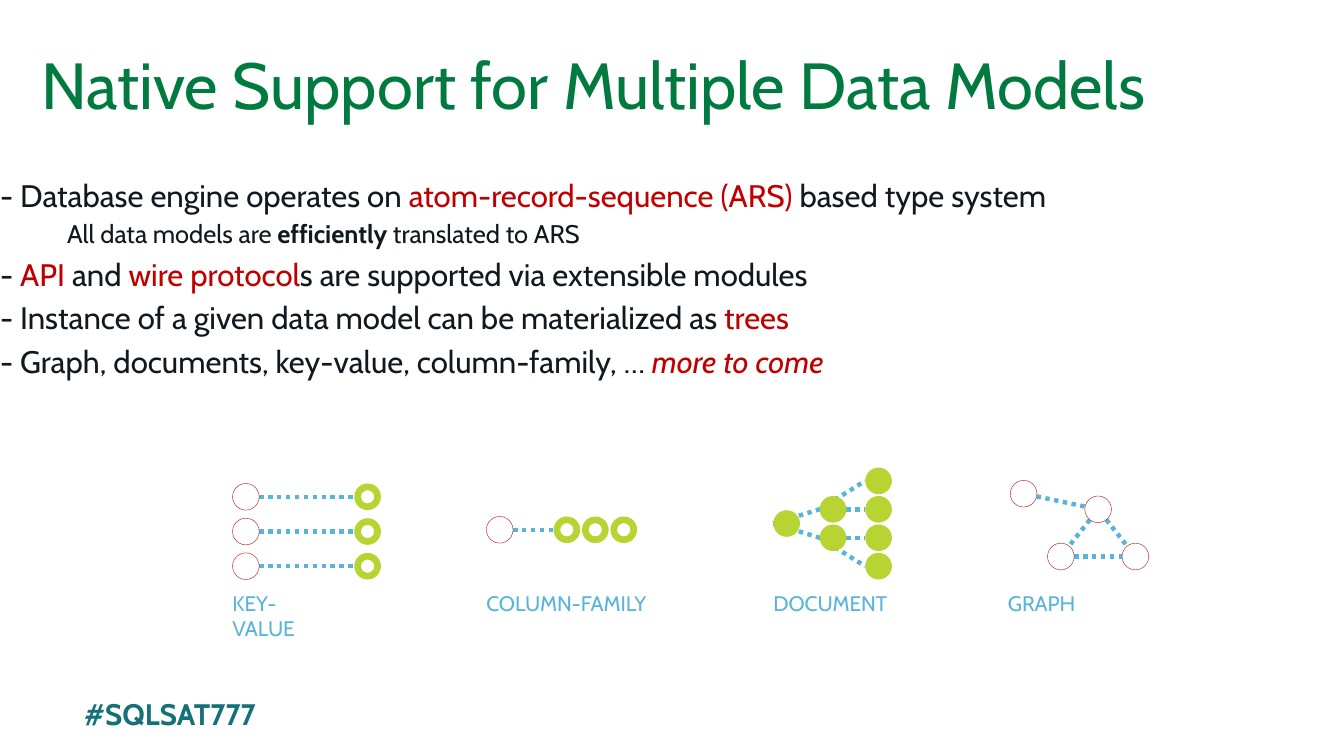
import math
from itertools import count
from pptx import Presentation, util as u
from pptx.dml.color import RGBColor
from pptx.enum import dml, shapes, text
from pptx.oxml.ns import qn
from lxml import etree

# Content
TITLE = "Native Support for Multiple Data Models"
HASHTAG = "#SQLSAT777"
# Each point: level, then (words, tone) pieces
POINTS = [
    (0, [("- Database engine operates on ", "plain"),
         ("atom-record-sequence (ARS) ", "accent"),
         ("based type system", "plain")]),
    (1, [("All data models are ", "plain"), ("efficiently", "strong"),
         (" translated to ARS", "plain")]),
    (0, [("-", "plain"), (" API", "accent"), (" and ", "plain"),
         ("wire protocol", "accent"),
         ("s are supported via extensible modules", "plain")]),
    (0, [("- Instance of a given data model can be materialized as ", "plain"),
         ("trees", "accent")]),
    (0, [("- Graph, documents, key-value, column-family, … ", "plain"),
         ("more to come", "promise")]),
]
# Nodes: (column, row, kind) in grid steps; links join node numbers
MODELS = [
    {"label": "KEY-VALUE", "left": 2.18, "label_width": 0.9, "from_edge": False,
     "nodes": [(col, row, kind) for row in (0.56, 1.78, 3)
               for col, kind in ((0, "open"), (4.28, "ring"))],
     "links": [(0, 1), (2, 3), (4, 5)]},
    {"label": "COLUMN-FAMILY", "left": 4.56, "label_width": 1.67, "from_edge": False,
     "nodes": [(0, 1.72, "open")] + [(2.36 + i, 1.72, "ring") for i in range(3)],
     "links": [(0, 1)]},
    {"label": "DOCUMENT", "left": 7.25, "label_width": 1.18, "from_edge": True,
     "nodes": [(0, 1.5, "solid"), (1.63, 1, "solid"), (1.63, 2, "solid")]
              + [(3.23, row, "solid") for row in range(4)],
     "links": [(0, 1), (0, 2), (1, 3), (1, 4), (2, 5), (2, 6)]},
    {"label": "GRAPH", "left": 9.45, "label_width": 0.9, "from_edge": False,
     "nodes": [(0.08, 0.45, "open"), (2.7, 1, "open"),
               (1.39, 2.66, "open"), (4.01, 2.66, "open")],
     "links": [(0, 1), (1, 2), (1, 3), (2, 3)]},
]

# Theme
THEME = {
    "font": "Cabin",
    "title": {"size": 44, "color": "007A3E"},
    "hashtag": {"size": 20, "color": "147178", "bold": True},
    "label": {"size": 14.2, "color": "59B4D9"},
    "levels": [21, 17.2],
    "tones": {
        "plain": {"color": "101820"},
        "accent": {"color": "C00000"},
        "strong": {"color": "101820", "bold": True},
        "promise": {"color": "C00000", "italic": True},
    },
    "link": {"color": "59B4D9", "width": 3},
    "nodes": {
        "open": {"shape": shapes.MSO_SHAPE.OVAL, "fill": "FFFFFF", "line": "C00000"},
        "ring": {"shape": shapes.MSO_SHAPE.DONUT, "fill": "B8D432", "line": None},
        "solid": {"shape": shapes.MSO_SHAPE.OVAL, "fill": "B8D432", "line": None},
    },
}

# Grid, in inches
WIDTH, HEIGHT = 12.6, 7.09
NODE = 0.25
STEP = 0.8 / 3
FIRST_ROW = 4.51
LABEL_TOP = 5.49
INDENT = 0.63


def style(font, size, color, **format_values):
    font.name = THEME["font"]
    font.size = u.Pt(size)
    font.color.rgb = RGBColor.from_string(color)
    for name, value in format_values.items():
        setattr(font, name, value)


def place(part, left, top, width, height):
    for name, value in zip(("left", "top", "width", "height"),
                           (left, top, width, height)):
        setattr(part, name, u.Inches(value))


def set_frame(frame, margins, **format_values):
    for side, value in zip(("left", "top", "right", "bottom"), margins):
        setattr(frame, f"margin_{side}", u.Inches(value))
    for name, value in format_values.items():
        setattr(frame, name, value)


def add_label(slide, words, box, margins, look):
    label = slide.shapes.add_textbox(*map(u.Inches, box))
    set_frame(label.text_frame, margins, word_wrap=True)
    run = label.text_frame.paragraphs[0].add_run()
    run.text = words
    style(run.font, **look)


def add_link(slide, start, end, from_edge):
    if from_edge:
        (x1, y1), (x2, y2) = [(x - NODE / 2, y) for x, y in (start, end)]
    else:
        angle = math.atan2(end[1] - start[1], end[0] - start[0])
        dx, dy = NODE / 2 * math.cos(angle), NODE / 2 * math.sin(angle)
        x1, y1, x2, y2 = start[0] + dx, start[1] + dy, end[0] - dx, end[1] - dy
    link = slide.shapes.add_connector(shapes.MSO_CONNECTOR.STRAIGHT,
                                      *map(u.Inches, (x1, y1, x2, y2)))
    link.line.color.rgb = RGBColor.from_string(THEME["link"]["color"])
    link.line.width = u.Pt(THEME["link"]["width"])
    link.line.dash_style = dml.MSO_LINE.ROUND_DOT
    etree.SubElement(link._element.spPr, qn("a:effectLst"))


def add_node(slide, center, kind):
    look = THEME["nodes"][kind]
    corner = [value - NODE / 2 for value in center]
    node = slide.shapes.add_shape(look["shape"],
                                  *map(u.Inches, (*corner, NODE, NODE)))
    node.shadow.inherit = False
    node.fill.solid()
    node.fill.fore_color.rgb = RGBColor.from_string(look["fill"])
    if look["line"]:
        node.line.color.rgb = RGBColor.from_string(look["line"])
        node.line.width = u.Pt(0.25)
    else:
        node.line.fill.background()


def add_model(slide, model):
    centers = [(model["left"] + NODE / 2 + col * STEP, FIRST_ROW + row * STEP)
               for col, row, _ in model["nodes"]]
    for start, end in model["links"]:
        add_link(slide, centers[start], centers[end], model["from_edge"])
    for center, (_, _, kind) in zip(centers, model["nodes"]):
        add_node(slide, center, kind)
    add_label(slide, model["label"],
              (model["left"], LABEL_TOP, model["label_width"], 0.34),
              (0, 0.05, 0.1, 0.05), THEME["label"])


def fill_title(title):
    place(title, 0.39, 0.39, 11.81, 0.79)
    set_frame(title.text_frame, (0, 0, 0, 0), word_wrap=True,
              auto_size=text.MSO_AUTO_SIZE.NONE,
              vertical_anchor=text.MSO_ANCHOR.MIDDLE)
    paragraph = title.text_frame.paragraphs[0]
    paragraph.alignment = text.PP_ALIGN.LEFT
    run = paragraph.add_run()
    run.text = TITLE
    style(run.font, **THEME["title"])


def fill_points(body):
    place(body, 0, 1.65, 10.2, 2.27)
    frame = body.text_frame
    set_frame(frame, (0, 0, 0, 0), word_wrap=True,
              auto_size=text.MSO_AUTO_SIZE.NONE,
              vertical_anchor=text.MSO_ANCHOR.TOP)
    for number, (level, pieces) in zip(count(), POINTS):
        paragraph = frame.add_paragraph() if number else frame.paragraphs[0]
        size = THEME["levels"][level]
        paragraph.level = level
        paragraph.space_before = u.Pt(0.2 * size if number else 0)
        properties = paragraph._p.get_or_add_pPr()
        properties.set("marL", str(u.Inches(INDENT * level)))
        properties.set("indent", "0")
        etree.SubElement(properties, qn("a:buNone"))
        for words, tone in pieces:
            run = paragraph.add_run()
            run.text = words
            style(run.font, size, **THEME["tones"][tone])


def main():
    deck = Presentation()
    deck.slide_width, deck.slide_height = u.Inches(WIDTH), u.Inches(HEIGHT)
    slide = deck.slides.add_slide(deck.slide_layouts[1])
    fill_title(slide.shapes.title)
    fill_points(slide.placeholders[1])
    for model in MODELS:
        add_model(slide, model)
    add_label(slide, HASHTAG, (0.69, 6.48, 1.91, 0.44),
              (0.1, 0.05, 0.1, 0.05), THEME["hashtag"])
    deck.save("out.pptx")


if __name__ == "__main__":
    main()
